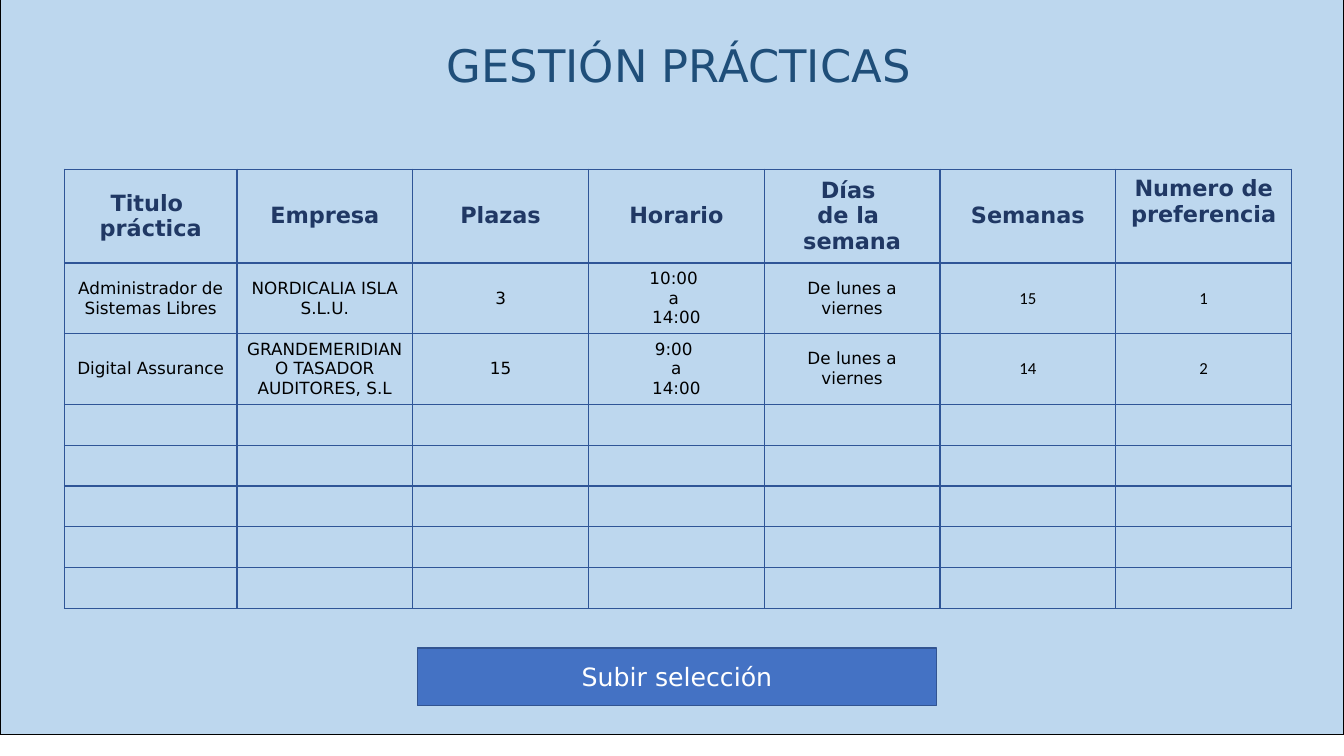
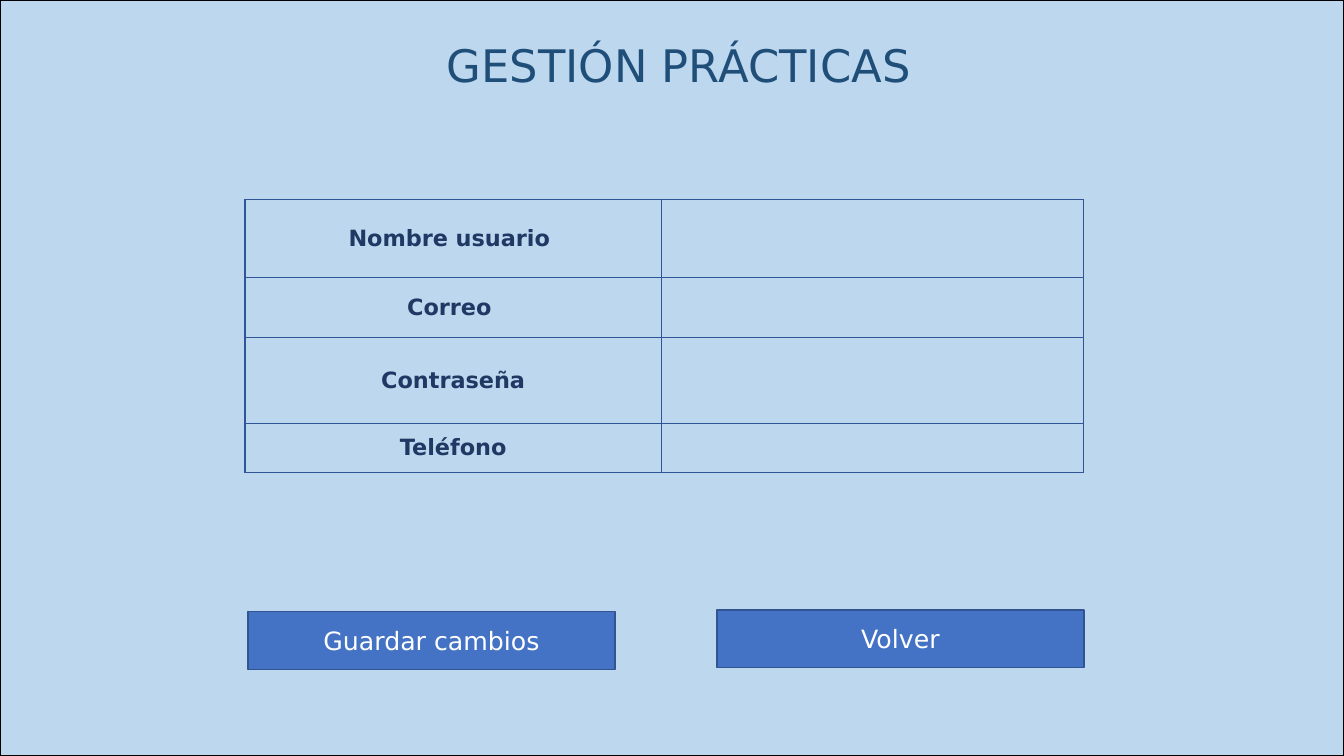
import pptx
import pptx.dml.color
import pptx.enum.shapes
import pptx.enum.text
import pptx.oxml
import pptx.oxml.ns
import pptx.util

SLIDE_WIDTH, SLIDE_HEIGHT = 13.33, 7.5
COLUMN = pptx.util.Inches(SLIDE_WIDTH) / 100
ROW = pptx.util.Inches(SLIDE_HEIGHT) / 100

COLORS = {
    "background": "BDD7EE",
    "frame": "000000",
    "title": "1F4E79",
    "button": "4472C4",
    "button_line": "325491",
    "button_text": "FFFFFF",
    "table_line": "2F5597",
    "heading": "203864",
    "body": "000000",
}
MAIN_FONT, NUMBER_FONT = "DejaVu Sans", "Calibri"
TITLE = "GESTIÓN PRÁCTICAS"
TITLE_AREA = (31.06, 4.27, 38.93, 8.53)
BUTTON_HEIGHT = 7.6

HEADINGS = ["Titulo \npráctica", "Empresa", "Plazas", "Horario",
            "Días \nde la \nsemana", "Semanas", "Numero de preferencia"]
PLACEMENTS = [
    ["Administrador de Sistemas Libres", "NORDICALIA ISLA S.L.U.", "3",
     "10:00 \na \n14:00", "De lunes a viernes", "15", "1"],
    ["Digital Assurance", "GRANDEMERIDIANO TASADOR AUDITORES, S.L", "15",
     "9:00 \na\n14:00", "De lunes a viernes", "14", "2"],
]
EMPTY_ROWS = 5
FIRST_NUMBER_COLUMN = 5
USER_FIELDS = ["Nombre usuario ", "Correo ", "Contraseña", "Teléfono"]


def color(name):
    return pptx.dml.color.RGBColor.from_string(COLORS[name])


def across(columns):
    return round(columns * COLUMN)


def down(rows):
    return round(rows * ROW)


def place(left, top, width, height):
    return across(left), down(top), across(width), down(height)


def write(frame, text, size, ink, font=MAIN_FONT, bold=False):
    frame.word_wrap = True
    frame.text = text
    for para in frame.paragraphs:
        para.alignment = pptx.enum.text.PP_ALIGN.CENTER
        para.font.size = pptx.util.Pt(size)
        para.font.name = font
        para.font.bold = bold
        para.font.color.rgb = color(ink)


def add_rectangle(page, area, fill, line):
    box = page.shapes.add_shape(
        pptx.enum.shapes.MSO_SHAPE.RECTANGLE, *place(*area))
    box.shadow.inherit = False
    box.fill.solid()
    box.fill.fore_color.rgb = color(fill)
    box.line.color.rgb = color(line)
    box.line.width = pptx.util.Pt(1)
    return box


def add_button(page, left, top, width, label):
    box = add_rectangle(page, (left, top, width, BUTTON_HEIGHT),
                        "button", "button_line")
    box.text_frame.vertical_anchor = pptx.enum.text.MSO_ANCHOR.MIDDLE
    write(box.text_frame, label, 18, "button_text")


def add_page(deck, background_top=0):
    page = deck.slides.add_slide(deck.slide_layouts[6])
    add_rectangle(page, (0, background_top, 100, 100), "background", "frame")
    box = page.shapes.add_textbox(*place(*TITLE_AREA))
    write(box.text_frame, TITLE, 32, "title")
    return page


def draw_borders(cell):
    properties = cell._tc.get_or_add_tcPr()
    for index, side in enumerate(("lnL", "lnR", "lnT", "lnB")):
        properties.insert(index, pptx.oxml.parse_xml(
            f'<a:{side} {pptx.oxml.ns.nsdecls("a")} w="12700"><a:solidFill>'
            f'<a:srgbClr val="{COLORS["table_line"]}"/></a:solidFill></a:{side}>'))


def add_grid(page, left, top, widths, heights):
    table = page.shapes.add_table(
        len(heights), len(widths),
        *place(left, top, sum(widths), sum(heights))).table
    table.first_row = table.horz_banding = False
    for column, width in zip(table.columns, widths):
        column.width = across(width)
    for row, height in zip(table.rows, heights):
        row.height = down(height)
    for cell in table.iter_cells():
        cell.fill.background()
        cell.vertical_anchor = pptx.enum.text.MSO_ANCHOR.MIDDLE
        draw_borders(cell)
    return table


def write_heading(cell, text):
    write(cell.text_frame, text, 16, "heading", bold=True)


def build_selection(deck):
    page = add_page(deck, background_top=-2.8)
    add_button(page, 31.06, 85.73, 38.63, "Subir selección")
    widths = [12.83] + [13.08] * (len(HEADINGS) - 1)
    heights = [12.4] + [9.33] * len(PLACEMENTS) + [5.41] * EMPTY_ROWS
    table = add_grid(page, 4.8, 22.4, widths, heights)
    for column, heading in enumerate(HEADINGS):
        write_heading(table.cell(0, column), heading)
    table.cell(0, len(HEADINGS) - 1).margin_bottom = down(4.6)
    for row, placement in enumerate(PLACEMENTS, start=1):
        for column, text in enumerate(placement):
            font = NUMBER_FONT if column >= FIRST_NUMBER_COLUMN else MAIN_FONT
            write(table.cell(row, column).text_frame, text, 12, "body", font)


def build_profile(deck):
    page = add_page(deck)
    add_button(page, 53.34, 80.67, 27.31, "Volver")
    table = add_grid(page, 18.23, 26.4, [30.98, 31.43],
                     [10.27, 8, 11.33, 6.53])
    for row, field in enumerate(USER_FIELDS):
        write_heading(table.cell(row, 0), field)
    add_button(page, 18.45, 80.93, 27.31, "Guardar cambios")


def main():
    deck = pptx.Presentation()
    deck.slide_width = pptx.util.Inches(SLIDE_WIDTH)
    deck.slide_height = pptx.util.Inches(SLIDE_HEIGHT)
    build_selection(deck)
    build_profile(deck)
    deck.save("out.pptx")


if __name__ == "__main__":
    main()
